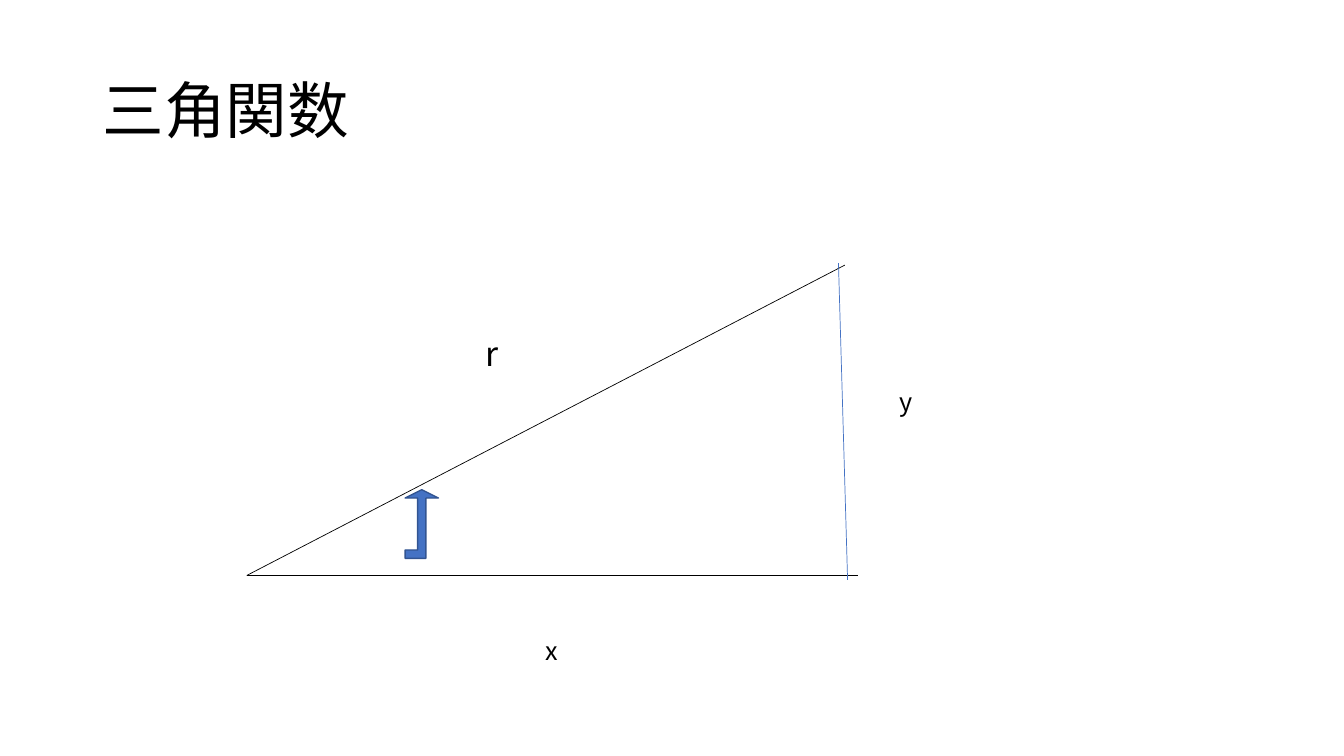
import pptx
import pptx.dml.color
import pptx.enum.shapes
import pptx.enum.text
import pptx.oxml.ns
import pptx.util
import lxml.etree

Cm = pptx.util.Cm
qn = pptx.oxml.ns.qn
MSO_ANCHOR = pptx.enum.text.MSO_ANCHOR
MSO_AUTO_SIZE = pptx.enum.text.MSO_AUTO_SIZE

theme = {
    "font": "Noto Sans CJK JP",
    "ink": pptx.dml.color.RGBColor(0x00, 0x00, 0x00),
    "blue": pptx.dml.color.RGBColor(0x44, 0x72, 0xC4),
    "edge": pptx.dml.color.RGBColor(0x32, 0x54, 0x91),
    "title": pptx.util.Pt(44),
    "large": pptx.util.Pt(24),
    "label": pptx.util.Pt(18),
}


def add_text(s, text, left, top, width, height, size, wrap=False,
             anchor=MSO_ANCHOR.TOP, fit=MSO_AUTO_SIZE.SHAPE_TO_FIT_TEXT, spacing=1.0):
    sp = s.shapes.add_textbox(Cm(left), Cm(top), Cm(width), Cm(height))
    tf = sp.text_frame
    tf.word_wrap = wrap
    tf.auto_size = fit
    tf.vertical_anchor = anchor
    p = tf.paragraphs[0]
    p.line_spacing = spacing
    r = p.add_run()
    r.text = text
    r.font.size = theme[size]
    r.font.name = theme["font"]
    r.font.color.rgb = theme["ink"]
    ea = lxml.etree.SubElement(r.font._element, qn("a:ea"))
    ea.set("typeface", theme["font"])


prs = pptx.Presentation()
prs.slide_width = Cm(33.87)
prs.slide_height = Cm(19.05)
s = prs.slides.add_slide(prs.slide_layouts[6])

add_text(s, "三角関数", 2.34, 1.02, 29.21, 3.68, "title", wrap=True,
         anchor=MSO_ANCHOR.MIDDLE, fit=MSO_AUTO_SIZE.NONE, spacing=0.9)

vertex = (6.22, 14.5)
sides = [
    (vertex, (21.62, 14.5), "ink"),
    (vertex, (21.29, 6.68), "ink"),
    ((21.13, 6.63), (21.36, 14.61), "blue"),
]
for start, end, color in sides:
    line = s.shapes.add_connector(
        pptx.enum.shapes.MSO_CONNECTOR.STRAIGHT, *map(Cm, start + end))
    line.line.color.rgb = theme[color]
    line.line.width = pptx.util.Pt(0.5)
    lxml.etree.SubElement(line._element.spPr, qn("a:effectLst"))

for text, left, top, width, height, size in [
    ("r", 11.99, 8.26, 0.81, 1.27, "large"),
    ("y", 22.43, 9.6, 0.84, 1.02, "label"),
    ("x", 13.51, 15.88, 0.81, 1.02, "label"),
]:
    add_text(s, text, left, top, width, height, size)

arrow = s.shapes.add_shape(
    pptx.enum.shapes.MSO_SHAPE.BENT_UP_ARROW, Cm(10.21), Cm(12.34), Cm(0.84), Cm(1.73))
arrow.shadow.inherit = False
for i, value in enumerate((0.25, 0.5, 0.25)):
    arrow.adjustments[i] = value
arrow.fill.solid()
arrow.fill.fore_color.rgb = theme["blue"]
arrow.line.color.rgb = theme["edge"]
arrow.line.width = pptx.util.Pt(1)

prs.save("out.pptx")
